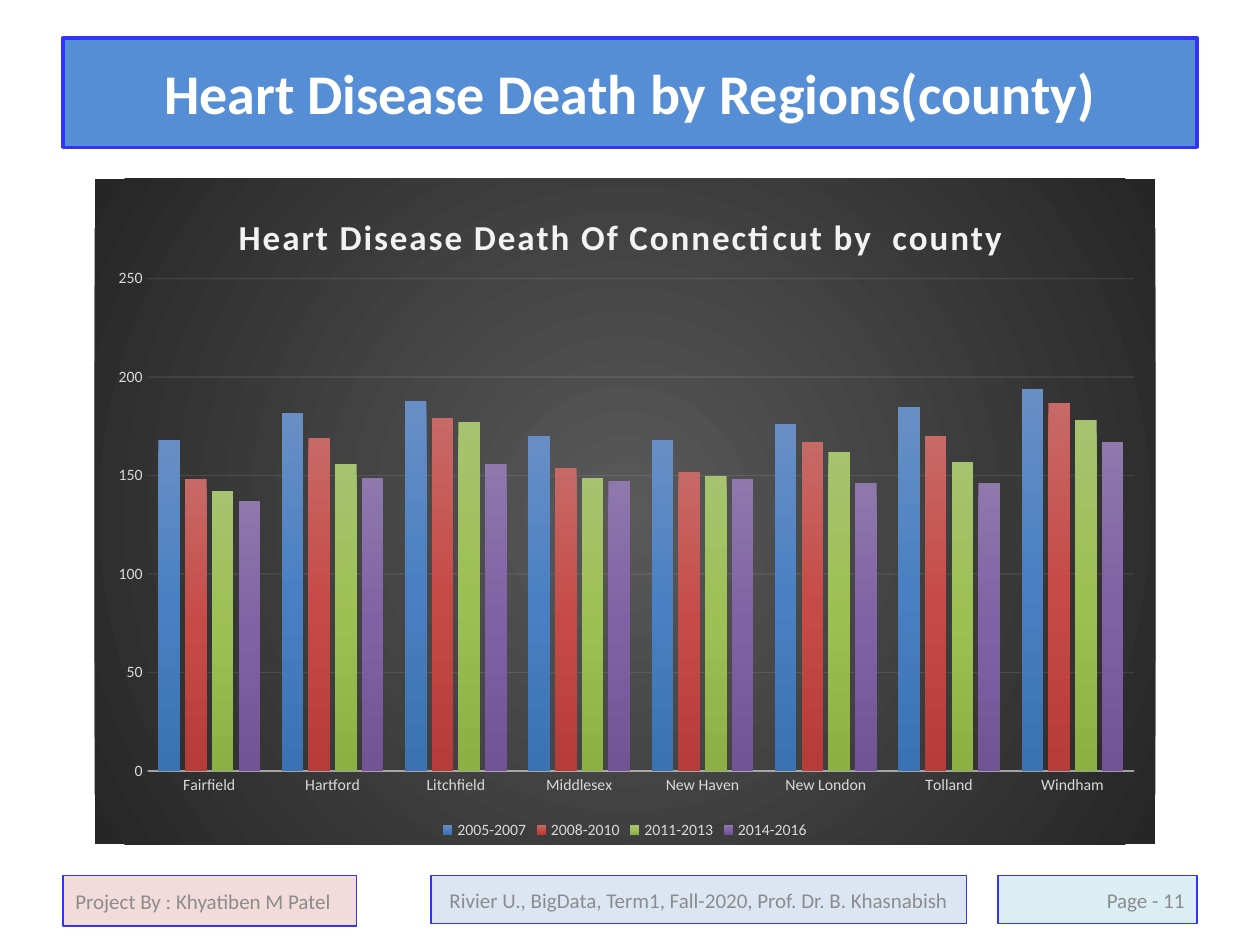
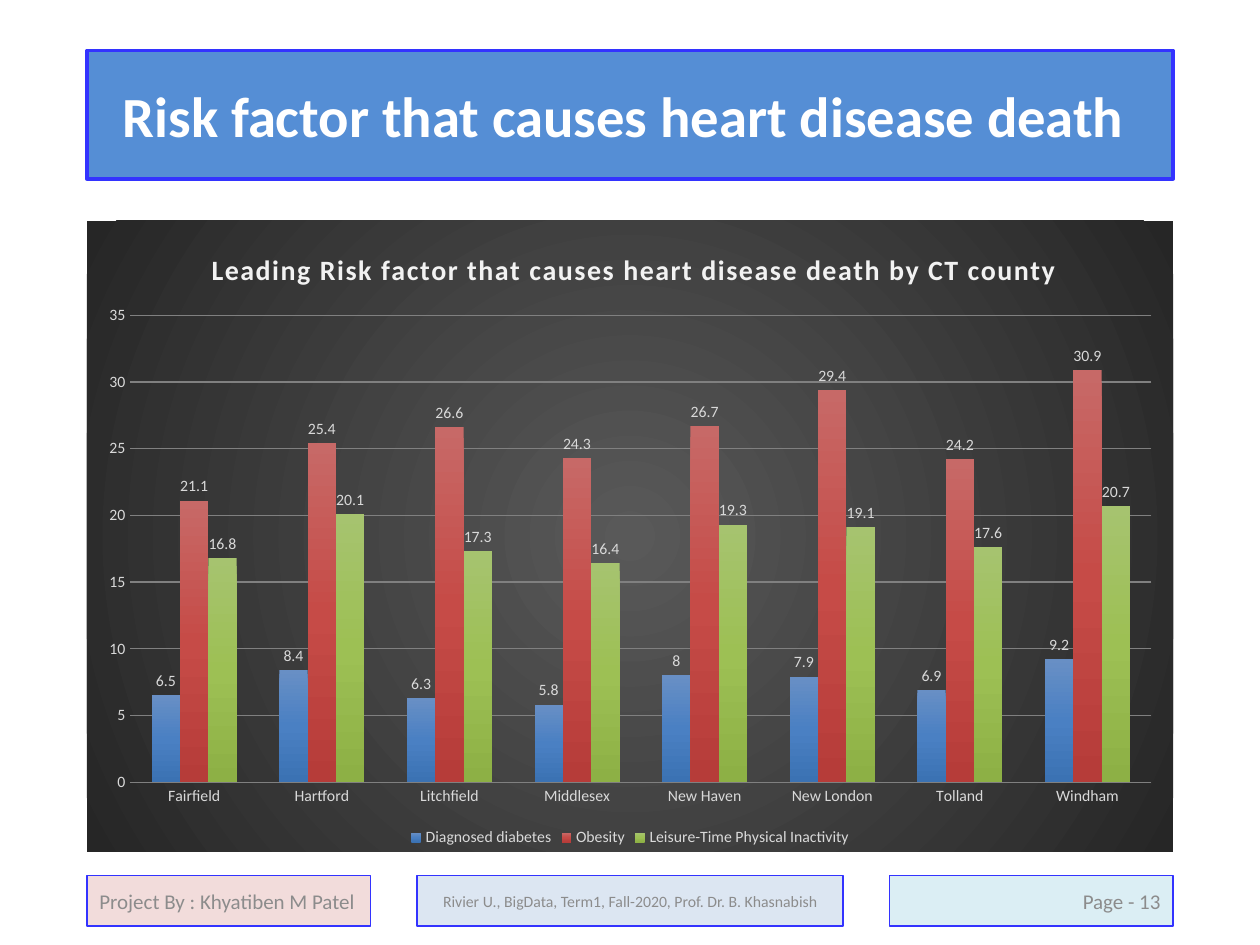
from lxml.etree import SubElement
from pptx import Presentation
from pptx.chart.data import CategoryChartData
from pptx.dml.color import RGBColor
from pptx.enum.chart import XL_CHART_TYPE as ChartType, XL_LABEL_POSITION as LabelPos
from pptx.enum.chart import XL_LEGEND_POSITION as LegendPos, XL_TICK_MARK as Tick
from pptx.enum.shapes import MSO_SHAPE as Shape
from pptx.enum.text import MSO_ANCHOR as Anchor, PP_ALIGN as Align
from pptx.oxml import parse_xml
from pptx.oxml.ns import nsdecls, qn
from pptx.util import Inches, Pt

FONT = "Calibri"
COLORS = {
    "white": "FFFFFF", "title": "558ED5", "border": "3333FF",
    "author": "F2DCDB", "course": "DCE6F2", "page": "DBEEF4", "footer": "8C8C8C",
    "heading": "F2F2F2", "label": "D9D9D9", "grid": "808080",
}
BACKDROP = ["595959", "262626"]
BAR_GRADIENTS = [
    ["688FC5", "4A80C3", "3B72B3"],
    ["C76967", "C64B47", "B63C39"],
    ["A6C36F", "9DC054", "8DB045"],
    ["8E78AC", "8061A5", "715396"],
]
AUTHOR = "Project By : Khyatiben M Patel"
COURSE = "Rivier U., BigData, Term1, Fall-2020, Prof. Dr. B. Khasnabish"
FOOTER_TOP = 6.95
COUNTIES = ["Fairfield", "Hartford", "Litchfield", "Middlesex",
            "New Haven", "New London", "Tolland", "Windham"]
PLOT_AREA = {"x": 0.05, "y": 0.15, "w": 0.93, "h": 0.74}

SLIDES = [
    {
        "title": "Heart Disease Death by Regions(county)",
        "title_size": 32, "title_at": (0.5, 0.3, 9, 0.87),
        "page": "Page - 11", "course_size": 12,
        "footers": [(0.5, 2.33, 0.4), (3.42, 4.25, 0.38), (7.92, 1.58, 0.38)],
        "chart_at": (0.75, 1.42, 8.42, 5.28),
        "heading": "Heart Disease Death Of Connecticut by  county",
        "heading_size": 20, "heading_at": {"x": 0.13, "y": 0.04},
        "plot_at": PLOT_AREA,
        "gap": 100, "overlap": -24, "top": 250, "step": 50,
        "grid": ("heading", 10), "axis_line": ("heading", 54), "labels": False,
        "series": {
            "2005-2007": [168, 182, 188, 170, 168, 176, 185, 194],
            "2008-2010": [148, 169, 179, 154, 152, 167, 170, 187],
            "2011-2013": [142, 156, 177, 149, 150, 162, 157, 178],
            "2014-2016": [137, 149, 156, 147, 148, 146, 146, 167],
        },
    },
    {
        "title": "Risk factor that causes heart disease death ",
        "title_size": 32.4, "title_at": (0.69, 0.4, 8.62, 1.02),
        "page": "Page - 13", "course_size": 9,
        "footers": [(0.69, 2.25, 0.4), (3.31, 3.38, 0.4), (7.06, 2.25, 0.4)],
        "chart_at": (0.69, 1.75, 8.62, 5.01),
        "heading": "Leading Risk factor that causes heart disease death by CT county",
        "heading_size": 16, "heading_at": {"x": 0.11, "y": 0.04},
        "plot_at": PLOT_AREA | {"x": 0.04, "w": 0.94},
        "gap": 150, "overlap": 0, "top": 35, "step": 5,
        "grid": ("grid", 100), "axis_line": None, "labels": True,
        "series": {
            "Diagnosed diabetes": [6.5, 8.4, 6.3, 5.8, 8, 7.9, 6.9, 9.2],
            "Obesity": [21.1, 25.4, 26.6, 24.3, 26.7, 29.4, 24.2, 30.9],
            "Leisure-Time Physical Inactivity": [16.8, 20.1, 17.3, 16.4, 19.3, 19.1, 17.6, 20.7],
        },
    },
]


def rgb(name):
    return RGBColor.from_string(COLORS[name])


def style_font(font, size, color, bold=False):
    font.name, font.size, font.bold = FONT, Pt(size), bold
    font.color.rgb = rgb(color)


def write_text(frame, text, size=12, color="footer", bold=False, align=Align.LEFT, spacing=0):
    paragraph = frame.paragraphs[0]
    paragraph.alignment = align
    run = paragraph.add_run()
    run.text = text
    style_font(run.font, size, color, bold)
    if spacing:
        run.font._element.set("spc", str(spacing))


def add_panel(slide, text, at, fill, border=0.75, **text_format):
    panel = slide.shapes.add_shape(Shape.RECTANGLE, *map(Inches, at))
    panel.shadow.inherit = False
    panel.fill.solid()
    panel.fill.fore_color.rgb = rgb(fill)
    panel.line.color.rgb = rgb("border")
    panel.line.width = Pt(border)
    panel.text_frame.word_wrap = True
    panel.text_frame.vertical_anchor = Anchor.MIDDLE
    write_text(panel.text_frame, text, **text_format)


def gradient(colors, direction):
    stops = "".join(
        f'<a:gs pos="{100000 * i // (len(colors) - 1)}"><a:srgbClr val="{color}"/></a:gs>'
        for i, color in enumerate(colors))
    return f"<a:gradFill {nsdecls('a')}><a:gsLst>{stops}</a:gsLst>{direction}</a:gradFill>"


def fill_backdrop(chart):
    circle = '<a:path path="circle"><a:fillToRect l="50000" t="50000" r="50000" b="50000"/></a:path>'
    chart._chartSpace.find(qn("c:chart")).addnext(parse_xml(
        f"<c:spPr {nsdecls('c', 'a')}>{gradient(BACKDROP, circle)}<a:ln><a:noFill/></a:ln></c:spPr>"))


def fill_bars(series, colors):
    series.invert_if_negative = False
    series.format.fill.solid()
    solid = series._element.find(qn("c:spPr")).find(qn("a:solidFill"))
    solid.getparent().replace(solid, parse_xml(gradient(colors, '<a:lin ang="5400000" scaled="0"/>')))


def draw_line(line, style, width):
    if style is None:
        line.fill.background()
        return
    color, opacity = style
    line.color.rgb = rgb(color)
    line.width = Pt(width)
    for tint in line._ln.iter(qn("a:srgbClr")):
        SubElement(tint, qn("a:alpha")).set("val", str(opacity * 1000))


def place(element, index, position, inner=False):
    old = element.find(qn("c:layout"))
    if old is not None:
        element.remove(old)
    target = '<c:layoutTarget val="inner"/>' if inner else ""
    modes = "".join(f'<c:{key}Mode val="edge"/>' for key in "xy")
    values = "".join(f'<c:{key} val="{value}"/>' for key, value in position.items())
    element.insert(index, parse_xml(
        f"<c:layout {nsdecls('c')}><c:manualLayout>{target}{modes}{values}</c:manualLayout></c:layout>"))


def add_county_chart(slide, content):
    data = CategoryChartData()
    data.categories = COUNTIES
    for name, values in content["series"].items():
        data.add_series(name, values)
    chart = slide.shapes.add_chart(
        ChartType.COLUMN_CLUSTERED, *map(Inches, content["chart_at"]), data).chart
    style_font(chart.font, 9, "label")
    fill_backdrop(chart)

    chart.has_title = True
    write_text(chart.chart_title.text_frame, content["heading"], size=content["heading_size"],
               color="heading", bold=True, align=Align.CENTER, spacing=100)
    chart.chart_title.include_in_layout = False
    place(chart.chart_title._element, 1, content["heading_at"])
    place(chart._chartSpace.chart.plotArea, 0, content["plot_at"], inner=True)

    chart.has_legend = True
    chart.legend.position = LegendPos.BOTTOM
    chart.legend.include_in_layout = False
    style_font(chart.legend.font, 9, "label")

    counties, scale = chart.category_axis, chart.value_axis
    for axis in (counties, scale):
        axis.major_tick_mark = axis.minor_tick_mark = Tick.NONE
        style_font(axis.tick_labels.font, 9, "label")
    draw_line(counties.format.line, content["axis_line"], 1)
    draw_line(scale.format.line, None, 0)
    scale.has_major_gridlines = True
    draw_line(scale.major_gridlines.format.line, content["grid"], 0.75)
    scale.minimum_scale, scale.maximum_scale = 0, content["top"]
    scale.major_unit = content["step"]

    bars = chart.plots[0]
    bars.vary_by_categories = False
    bars.gap_width, bars.overlap = content["gap"], content["overlap"]
    for series, colors in zip(bars.series, BAR_GRADIENTS):
        fill_bars(series, colors)
    if content["labels"]:
        bars.has_data_labels = True
        bars.data_labels.show_value = True
        bars.data_labels.position = LabelPos.OUTSIDE_END
        style_font(bars.data_labels.font, 9, "label")


def add_footers(slide, content):
    parts = [
        (AUTHOR, "author", 12, Align.LEFT),
        (COURSE, "course", content["course_size"], Align.CENTER),
        (content["page"], "page", 12, Align.RIGHT),
    ]
    for (text, fill, size, align), (left, width, height) in zip(parts, content["footers"]):
        add_panel(slide, text, (left, FOOTER_TOP, width, height), fill, size=size, align=align)


def main():
    deck = Presentation()
    deck.slide_width, deck.slide_height = Inches(10), Inches(7.5)
    for content in SLIDES:
        slide = deck.slides.add_slide(deck.slide_layouts[6])
        add_panel(slide, content["title"], content["title_at"], "title", border=2,
                  size=content["title_size"], color="white", bold=True, align=Align.CENTER)
        add_footers(slide, content)
        add_county_chart(slide, content)
    deck.save("out.pptx")


if __name__ == "__main__":
    main()
